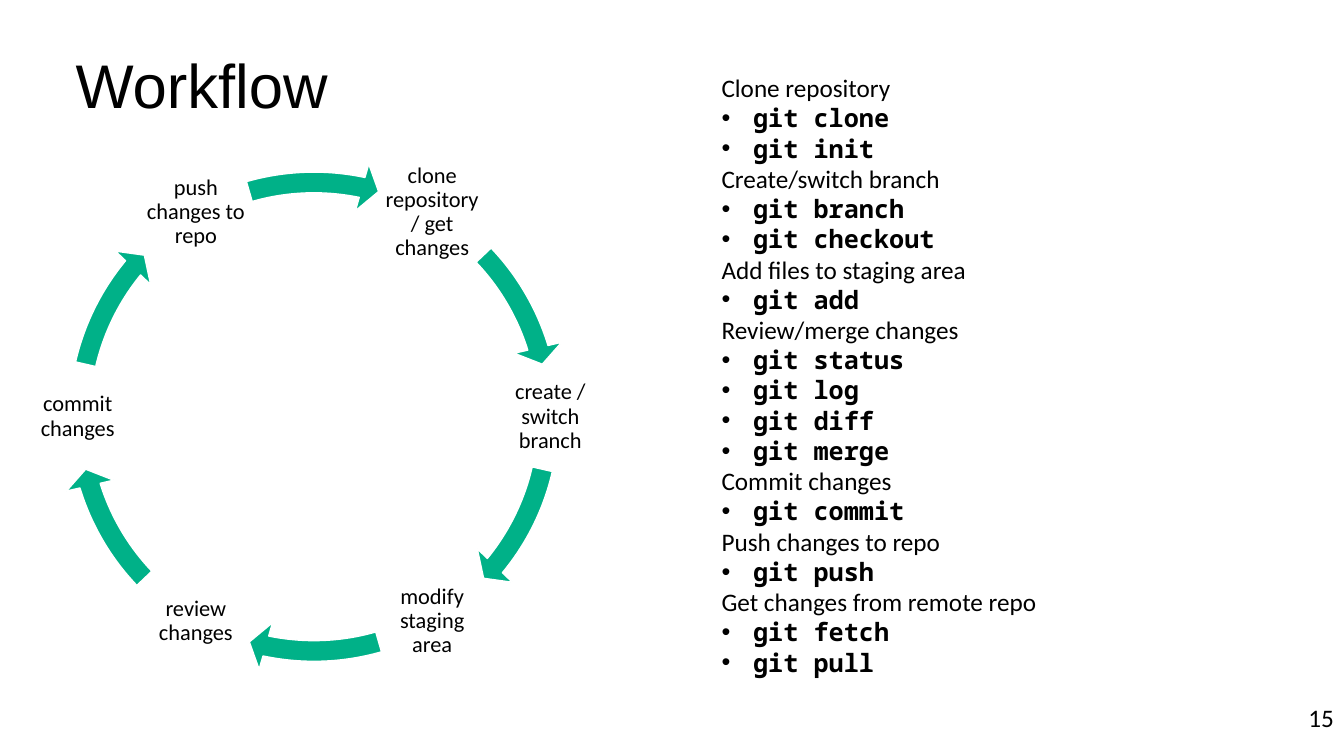
"""Build the Workflow slide: a cycle of six steps beside a list of git commands."""
import math
from lxml import etree
from pptx import Presentation, util as u
from pptx.dml.color import RGBColor
from pptx.enum import shapes, text
from pptx.oxml.ns import qn

Pt = u.Pt
THEME = {
    "ink": RGBColor(0, 0, 0),
    "green": RGBColor(0x00, 0xB1, 0x88),
    "white": RGBColor(255, 255, 255),
    "head": ("Arial", 44),
    "step": ("Calibri", 16),
    "body": ("Calibri", 18),
    "code": ("Noto Sans Mono", 18),
}


def style(para, kind, bold=False):
    """Give every run of a paragraph one of the theme's type styles."""
    for run in para.runs:
        run.font.name, size = THEME[kind]
        run.font.size = Pt(size)
        run.font.bold = bold
        run.font.color.rgb = THEME["ink"]


def add_box(parent, left, top, width, height):
    """Add a wrapping text box and return its text frame."""
    frame = parent.add_textbox(Pt(left), Pt(top), Pt(width), Pt(height)).text_frame
    frame.word_wrap = True
    return frame


deck = Presentation()
deck.slide_width, deck.slide_height = Pt(960), Pt(540)
slide = deck.slides.add_slide(deck.slide_layouts[5])

title = slide.shapes.title
title.left, title.top, title.width, title.height = Pt(54), Pt(36), Pt(852), Pt(54)
frame = title.text_frame
frame.text = "Workflow"
frame.margin_left = 0
frame.vertical_anchor = text.MSO_ANCHOR.MIDDLE
para = frame.paragraphs[0]
para.alignment = text.PP_ALIGN.LEFT
para.line_spacing = 0.9
style(para, "head")

MID_X, MID_Y, RADIUS = 224.3, 297.7, 168.8
SIDE, RING = 75.6, 369.4
STEPS = [
    "clone repository / get changes", "create / switch branch", "modify staging area",
    "review changes", "commit changes", "push changes to repo",
]
ARCS = [(316.39, 342.89), (12.94, 39.44), (73.98, 101.85)]
UNIT = 0.6

cycle = slide.shapes.add_group_shape().shapes
for i, step in enumerate(STEPS):
    angle = math.radians(60 * (i - 1))
    left = MID_X + RADIUS * math.cos(angle) - SIDE / 2
    top = MID_Y + RADIUS * math.sin(angle) - SIDE / 2
    frame = add_box(cycle, left, top, SIDE, SIDE)
    frame.margin_left = frame.margin_right = Pt(1.6)
    frame.margin_top = frame.margin_bottom = Pt(1.6)
    frame.vertical_anchor = text.MSO_ANCHOR.MIDDLE
    frame.text = step
    para = frame.paragraphs[0]
    para.alignment = text.PP_ALIGN.CENTER
    para.line_spacing = 0.9
    style(para, "step")

    arrow = cycle.add_shape(
        shapes.MSO_SHAPE.CIRCULAR_ARROW,
        Pt(MID_X - RING / 2), Pt(MID_Y - RING / 2), Pt(RING), Pt(RING))
    start, end = [(deg + 180 * (i // 3)) % 360 for deg in ARCS[i % 3]]
    for k, value in enumerate([0.04, 2.5, end * UNIT, start * UNIT, 0.047]):
        arrow.adjustments[k] = value
    arrow.shadow.inherit = False
    arrow.fill.solid()
    arrow.fill.fore_color.rgb = THEME["green"]
    arrow.line.color.rgb = THEME["white"]
    arrow.line.width = Pt(1)

TASKS = [
    ("Clone repository", ["clone", "init"]),
    ("Create/switch branch", ["branch", "checkout"]),
    ("Add files to staging area", ["add"]),
    ("Review/merge changes", ["status", "log", "diff", "merge"]),
    ("Commit changes", ["commit"]),
    ("Push changes to repo", ["push"]),
    ("Get changes from remote repo", ["fetch", "pull"]),
]
lines = []
for task, verbs in TASKS:
    lines += [(task, False)] + [(f"git {verb}", True) for verb in verbs]

frame = add_box(slide.shapes, 508.3, 48.2, 278, 443.5)
frame.auto_size = text.MSO_AUTO_SIZE.SHAPE_TO_FIT_TEXT
frame.text = "\n".join(line for line, code in lines)
for para, (line, code) in zip(frame.paragraphs, lines):
    style(para, "code" if code else "body", code)
    if code:
        props = para._p.get_or_add_pPr()
        props.set("marL", str(Pt(22.5)))
        props.set("indent", str(Pt(-22.5)))
        etree.SubElement(props, qn("a:buFont")).set("typeface", "Arial")
        etree.SubElement(props, qn("a:buChar")).set("char", "•")

frame = add_box(slide.shapes, 736, 498.2, 224, 29)
frame.text = "15"
frame.paragraphs[0].alignment = text.PP_ALIGN.RIGHT
style(frame.paragraphs[0], "body")

deck.save("out.pptx")
